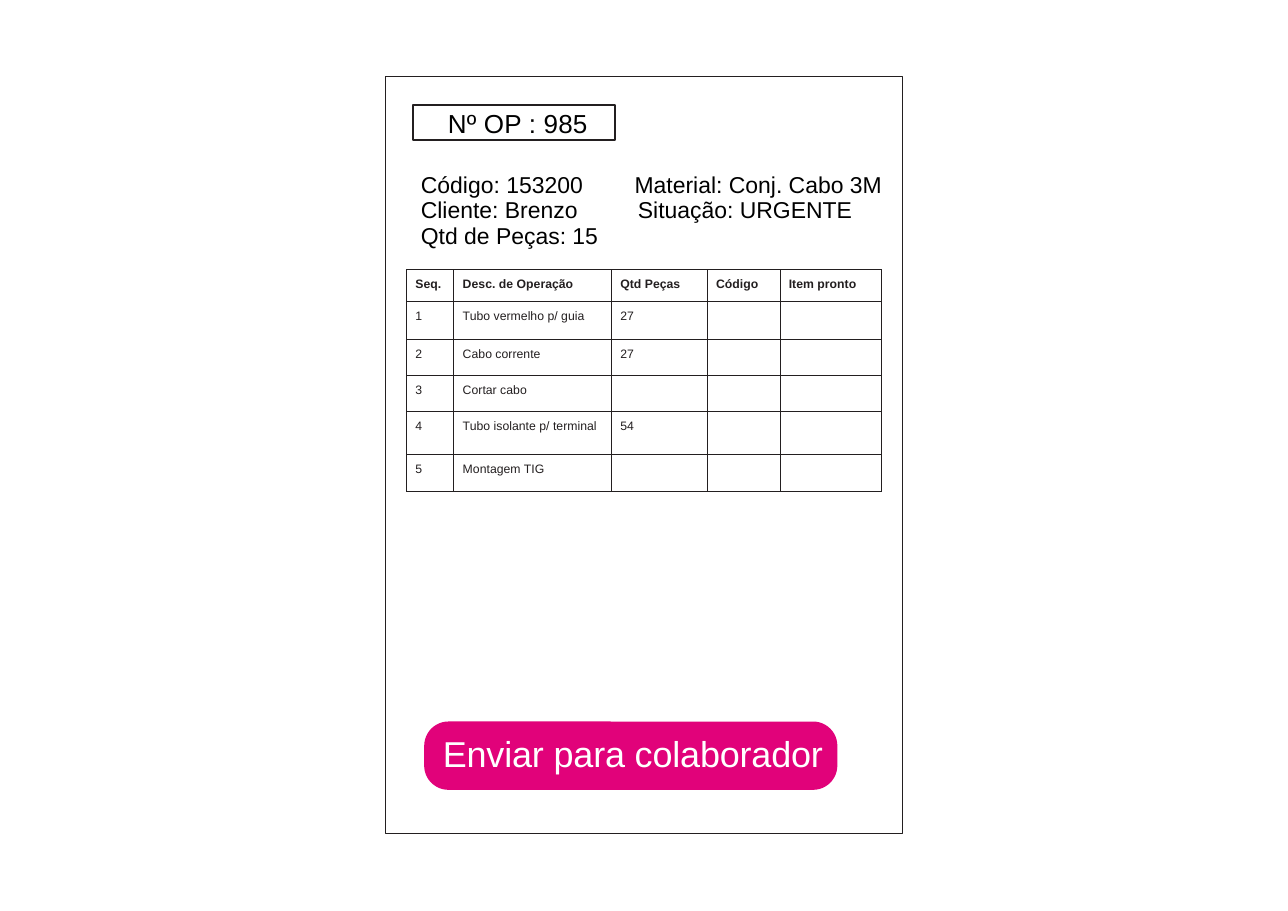
from dataclasses import dataclass
from typing import Optional

from lxml.etree import SubElement, fromstring
from pptx import Presentation
from pptx.dml.color import RGBColor
from pptx.enum.shapes import MSO_SHAPE as Preset
from pptx.enum.text import MSO_ANCHOR as Anchor
from pptx.oxml.ns import nsdecls, qn
from pptx.util import Inches, Pt


@dataclass(frozen=True)
class Theme:
    font: str = "Arial"
    ink: str = "231F20"
    text: str = "000000"
    accent: str = "E1027A"
    on_accent: str = "FFFFFF"
    order_size: float = 17
    detail_size: float = 15
    table_size: float = 8
    button_size: float = 23.5
    detail_leading: float = 16.9


@dataclass(frozen=True)
class Box:
    left: float
    top: float
    width: float
    height: float

    def inches(self) -> tuple:
        return tuple(Inches(n) for n in (self.left, self.top, self.width, self.height))


@dataclass(frozen=True)
class Panel:
    box: Box
    preset: Preset = Preset.RECTANGLE
    fill: Optional[str] = None
    line: Optional[str] = None
    line_width: float = 0
    radius: float = 0


@dataclass(frozen=True)
class Details:
    box: Box
    lines: tuple
    indents: tuple


THEME = Theme()
CARD = Panel(Box(3.5, 0.69, 4.69, 6.88), line=THEME.ink, line_width=0.57)
ORDER = Panel(Box(3.75, 0.95, 1.83, 0.32), line=THEME.ink, line_width=1.22)
BUTTON = Panel(Box(3.85, 6.55, 3.75, 0.62), Preset.ROUNDED_RECTANGLE,
               fill=THEME.accent, radius=0.22)
BUTTON_LABEL = Box(4.01, 6.63, 4.53, 0.41)
DETAILS = (
    Details(Box(5.73, 1.52, 2.31, 0.51),
            ("Material: Conj. Cabo 3M", "Situação: URGENTE"), (0.03, 0.06)),
    Details(Box(3.81, 1.52, 1.65, 0.75),
            ("Código: 153200", "Cliente: Brenzo", "Qtd de Peças: 15"), (0.01, 0.01, 0.01)),
)
OPERATIONS_BOX = Box(3.69, 2.45, 4.31, 2.01)
COLUMN_WIDTHS = (0.43, 1.43, 0.87, 0.66, 0.92)
ROW_HEIGHTS = (0.29, 0.34, 0.33, 0.33, 0.39, 0.33)
OPERATIONS = (
    ("Seq.", "Desc. de Operação", "Qtd Peças", "Código", "Item pronto"),
    ("1", "Tubo vermelho p/ guia", "27", "", ""),
    ("2", "Cabo corrente", "27", "", ""),
    ("3", "Cortar cabo", "", "", ""),
    ("4", "Tubo isolante p/ terminal", "54", "", ""),
    ("5", "Montagem TIG", "", "", ""),
)


def rgb(value: str) -> RGBColor:
    return RGBColor.from_string(value)


def write(paragraph, text: str, *, size: float, color: str = THEME.text, bold: bool = False,
          indent: float = 0, before: float = 0, leading: Optional[float] = None,
          tracking: float = 0) -> None:
    paragraph.space_before = Pt(before)
    if leading:
        paragraph.line_spacing = Pt(leading)
    properties = paragraph._p.get_or_add_pPr()
    properties.set("marL", str(Inches(indent)))
    properties.set("indent", "0")
    if not text:
        SubElement(paragraph._p, qn("a:endParaRPr")).set("sz", str(round(size * 100)))
        return
    run = paragraph.add_run()
    run.text = text
    run.font.name = THEME.font
    run.font.size = Pt(size)
    run.font.bold = bold
    run.font.color.rgb = rgb(color)
    if tracking:
        run._r.get_or_add_rPr().set("spc", str(round(tracking * 100)))


def set_frame(frame, top: float) -> None:
    frame.word_wrap = True
    frame.vertical_anchor = Anchor.TOP
    frame.margin_left = frame.margin_right = frame.margin_bottom = 0
    frame.margin_top = Inches(top)


def draw_panel(slide, panel: Panel):
    shape = slide.shapes.add_shape(panel.preset, *panel.box.inches())
    shape.shadow.inherit = False
    if panel.radius:
        shape.adjustments[0] = panel.radius / panel.box.height
    if panel.fill:
        shape.fill.solid()
        shape.fill.fore_color.rgb = rgb(panel.fill)
    else:
        shape.fill.background()
    if panel.line:
        shape.line.color.rgb = rgb(panel.line)
        shape.line.width = Pt(panel.line_width)
    else:
        shape.line.fill.background()
    return shape


def draw_details(slide, details: Details) -> None:
    frame = slide.shapes.add_textbox(*details.box.inches()).text_frame
    set_frame(frame, 0.04)
    for index, (line, indent) in enumerate(zip(details.lines, details.indents)):
        paragraph = frame.add_paragraph() if index else frame.paragraphs[0]
        write(paragraph, line, size=THEME.detail_size, indent=indent,
              before=0 if index else 2.5, leading=THEME.detail_leading)


def set_borders(cell) -> None:
    properties = cell._tc.get_or_add_tcPr()
    for position, side in enumerate(("lnL", "lnR", "lnT", "lnB")):
        border = fromstring(
            f'<a:{side} {nsdecls("a")} w="{Pt(0.75)}"><a:solidFill>'
            f'<a:srgbClr val="{THEME.ink}"/></a:solidFill></a:{side}>')
        properties.insert(position, border)


def draw_operations(slide) -> None:
    table = slide.shapes.add_table(
        len(ROW_HEIGHTS), len(COLUMN_WIDTHS), *OPERATIONS_BOX.inches()).table
    table.first_row = table.horz_banding = False
    for column, width in zip(table.columns, COLUMN_WIDTHS):
        column.width = Inches(width)
    for row, height in zip(table.rows, ROW_HEIGHTS):
        row.height = Inches(height)
    for row_index, values in enumerate(OPERATIONS):
        for column_index, value in enumerate(values):
            cell = table.cell(row_index, column_index)
            cell.margin_left = cell.margin_right = cell.margin_bottom = 0
            cell.margin_top = Inches(0.07)
            cell.fill.background()
            set_borders(cell)
            write(cell.text_frame.paragraphs[0], value, size=THEME.table_size,
                  color=THEME.ink, bold=row_index == 0, indent=0.08, before=4.9)


def main() -> None:
    deck = Presentation()
    deck.slide_width, deck.slide_height = Inches(11.69), Inches(8.27)
    slide = deck.slides.add_slide(deck.slide_layouts[6])

    draw_panel(slide, CARD)
    order = draw_panel(slide, ORDER).text_frame
    set_frame(order, 0.03)
    write(order.paragraphs[0], "Nº OP : 985", size=THEME.order_size,
          indent=0.07, before=2.4, tracking=0.1)
    for details in DETAILS:
        draw_details(slide, details)
    draw_operations(slide)

    draw_panel(slide, BUTTON)
    label = slide.shapes.add_textbox(*BUTTON_LABEL.inches()).text_frame
    set_frame(label, 0.01)
    write(label.paragraphs[0], "Enviar para colaborador", size=THEME.button_size,
          color=THEME.on_accent, indent=0.01, before=0.9, tracking=-0.1)
    deck.save("out.pptx")


if __name__ == "__main__":
    main()
